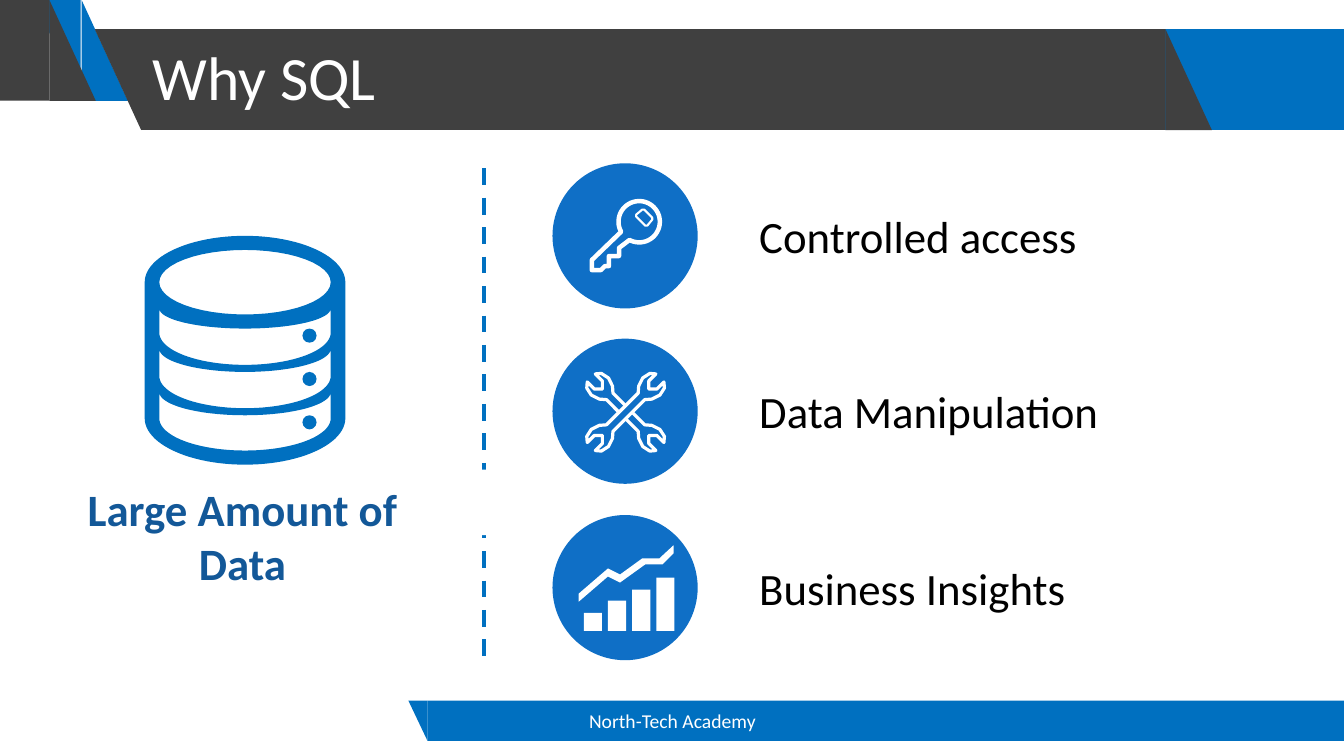
import math
from dataclasses import dataclass

import pptx
import pptx.dml.color
import pptx.enum.dml
import pptx.enum.shapes
import pptx.enum.text
import pptx.oxml.ns
import pptx.shapes.autoshape
import pptx.slide
import pptx.util
from lxml import etree

PX = 9144  # EMU per px, 100 px to the inch
FINE = 100  # freeform units per px
FONT = "Calibri"

RGB = pptx.dml.color.RGBColor
BLUE = RGB(0x00, 0x70, 0xC0)
CIRCLE_BLUE = RGB(0x0F, 0x6F, 0xC6)
CAPTION_BLUE = RGB(0x13, 0x58, 0x98)
CHARCOAL = RGB(0x40, 0x40, 0x40)
WHITE = RGB(0xFF, 0xFF, 0xFF)
BLACK = RGB(0x00, 0x00, 0x00)

SHAPE = pptx.enum.shapes.MSO_SHAPE
ALIGN = pptx.enum.text.PP_ALIGN
ANCHOR = pptx.enum.text.MSO_ANCHOR
Points = list[tuple[float, float]]


@dataclass
class Block:
    kind: SHAPE
    left: int
    top: int
    width: int
    height: int
    color: RGB
    rotation: int = 0


@dataclass
class Label:
    text: str
    left: int
    top: int
    width: int
    height: int
    size: int
    color: RGB
    bold: bool = False
    align: ALIGN = ALIGN.LEFT
    anchor: ANCHOR = ANCHOR.TOP
    inset: int = 10
    grow: bool = True


def px(length: float) -> pptx.util.Emu:
    return pptx.util.Emu(round(length * PX))


def paint(shape: pptx.shapes.autoshape.Shape, color: RGB) -> None:
    shape.shadow.inherit = False
    shape.fill.solid()
    shape.fill.fore_color.rgb = color
    shape.line.fill.background()


def draw_block(slide: pptx.slide.Slide, block: Block) -> None:
    shape = slide.shapes.add_shape(block.kind, px(block.left), px(block.top),
                                   px(block.width), px(block.height))
    shape.rotation = block.rotation
    paint(shape, block.color)


def write(frame: pptx.text.text.TextFrame, text: str, size: int, color: RGB,
          bold: bool, align: ALIGN) -> None:
    paragraph = frame.paragraphs[0]
    paragraph.alignment = align
    run = paragraph.add_run()
    run.text = text
    run.font.name, run.font.size, run.font.bold = FONT, pptx.util.Pt(size), bold
    run.font.color.rgb = color


def draw_label(slide: pptx.slide.Slide, label: Label) -> None:
    frame = slide.shapes.add_textbox(px(label.left), px(label.top), px(label.width),
                                     px(label.height)).text_frame
    frame.word_wrap = True
    frame.vertical_anchor = label.anchor
    frame.margin_left = px(label.inset)
    if label.grow:
        frame.auto_size = pptx.enum.text.MSO_AUTO_SIZE.SHAPE_TO_FIT_TEXT
    write(frame, label.text, label.size, label.color, label.bold, label.align)


def outline(slide: pptx.slide.Slide, contours: list[Points],
            close: bool = True) -> pptx.shapes.autoshape.Shape:
    scaled = [[(x * FINE, y * FINE) for x, y in points] for points in contours]
    builder = slide.shapes.build_freeform(*scaled[0][0], scale=PX / FINE)
    builder.add_line_segments(scaled[0][1:], close=close)
    for points in scaled[1:]:
        builder.move_to(*points[0])
        builder.add_line_segments(points[1:], close=close)
    return builder.convert_to_shape()


def draw_stroke(slide: pptx.slide.Slide, points: Points, weight: float,
                close: bool = True) -> None:
    shape = outline(slide, [points], close)
    shape.shadow.inherit = False
    shape.fill.background()
    shape.line.color.rgb = WHITE
    shape.line.width = pptx.util.Pt(weight)


def arc(cx: float, cy: float, rx: float, ry: float, start: int, end: int) -> Points:
    steps = 48
    angles = [math.radians(start + (end - start) * i / steps) for i in range(steps + 1)]
    return [(cx + rx * math.cos(a), cy + ry * math.sin(a)) for a in angles]


def draw_database(slide: pptx.slide.Slide) -> None:
    cx = 243
    body = arc(cx, 280, 99.5, 46, 180, 360) + arc(cx, 415, 99.5, 46, 0, 180)
    lid = arc(cx, 280, 85, 32, 0, 360)
    # Each disk: top edge, its depth, bottom edge
    disks = [arc(cx, top, 85, depth, 180, 0) + arc(cx, bottom, 85, 32, 0, 180)
             for top, depth, bottom in [(306, 20, 330), (346, 23, 373), (389, 23, 415)]]
    paint(outline(slide, [body, lid, *disks]), BLUE)
    for row in range(3):
        draw_block(slide, Block(SHAPE.OVAL, 300, 326 + 43 * row, 14, 14, BLUE))


def draw_key(slide: pptx.slide.Slide) -> None:
    bow = arc(634, 220, 20.5, 20.5, 118, -209)
    blade = [(587, 258), (587, 268), (596, 268), (600, 264), (604, 264), (604, 254),
             (614, 254), (614, 246)]
    draw_stroke(slide, bow + blade, 3.2)
    draw_stroke(slide, [(637, 208), (639, 208), (647, 216), (647, 218), (642, 224),
                        (640, 224), (631, 215), (631, 213)], 1.5)


def draw_wrenches(slide: pptx.slide.Slide) -> None:
    head = [(12.5, -19), (13, -26), (17, -34), (24, -38.5), (30, -38), (23, -31),
            (23, -23), (31, -23), (38, -30), (38.5, -24), (34, -17), (26, -13), (19, -12.5)]

    def place(points: Points, flip_x: int, flip_y: int) -> Points:
        return [(620.5 + flip_x * x, 409 + flip_y * y) for x, y in points]

    draw_stroke(slide, place(head, 1, 1) + place(head, -1, -1), 2.3)
    half = [(0, -6.5), *head, (6.5, 0)]
    for side in (-1, 1):
        draw_stroke(slide, place(half, side, -side), 2.3, close=False)


def draw_growth(slide: pptx.slide.Slide) -> None:
    for column, height in enumerate([18, 30, 41, 53]):
        draw_block(slide, Block(SHAPE.RECTANGLE, 579 + 24 * column, 626 - height,
                                18, height, WHITE))
    trend = [(654, 554), (637, 554), (615, 570), (603, 564), (574, 589), (574, 597),
             (603, 572), (615, 578), (640, 560), (657, 560), (668, 549), (668, 541)]
    paint(outline(slide, [trend]), WHITE)


def draw_divider(slide: pptx.slide.Slide) -> None:
    divider = slide.shapes.add_connector(pptx.enum.shapes.MSO_CONNECTOR.STRAIGHT,
                                         px(480), px(167), px(480), px(656))
    divider.line.color.rgb = BLUE
    divider.line.width = pptx.util.Pt(3)
    divider.line.dash_style = pptx.enum.dml.MSO_LINE.DASH
    etree.SubElement(divider.element.spPr, pptx.oxml.ns.qn("a:effectLst"))
    # Break in the dashes
    draw_block(slide, Block(SHAPE.RECTANGLE, 478, 466, 21, 65, WHITE))


def main() -> None:
    deck = pptx.Presentation()
    deck.slide_width, deck.slide_height = px(1333), px(750)
    slide = deck.slides.add_slide(deck.slide_layouts.get_by_name("Title Only"))

    # Header and footer bands
    rect, wedge = SHAPE.RECTANGLE, SHAPE.RIGHT_TRIANGLE
    for band in [
        Block(rect, 1068, 29, 265, 100, BLUE),
        Block(wedge, 81, 0, 46, 100, BLUE),
        Block(wedge, 34, 0, 46, 100, BLUE, 180),
        Block(rect, 0, 0, 49, 100, CHARCOAL),
        Block(wedge, 49, 0, 46, 100, CHARCOAL),
        Block(wedge, 94, 29, 46, 100, CHARCOAL, 180),
        Block(rect, 140, 29, 1016, 100, CHARCOAL),
        Block(wedge, 1156, 29, 46, 100, CHARCOAL),
        Block(rect, 424, 695, 909, 40, BLUE),
        Block(wedge, 405, 695, 19, 40, BLUE, 180),
    ]:
        draw_block(slide, band)

    # Title, brought in front of the bands
    title = slide.shapes.title
    title.left, title.top, title.width, title.height = px(141), px(7), px(1014), px(145)
    title.text_frame.vertical_anchor = ANCHOR.MIDDLE
    write(title.text_frame, "Why SQL", 44, WHITE, False, ALIGN.LEFT)
    title.text_frame.paragraphs[0].line_spacing = 0.9
    slide.shapes.element.append(title.element)

    # Data store on the left
    draw_divider(slide)
    draw_database(slide)
    draw_label(slide, Label("Large Amount of Data", 35, 473, 411, 118, 32, CAPTION_BLUE,
                            bold=True, align=ALIGN.CENTER))

    # Reasons on the right
    reasons = [("Controlled access", draw_key), ("Data Manipulation", draw_wrenches),
               ("Business Insights", draw_growth)]
    for row, (reason, draw_icon) in enumerate(reasons):
        top = 162 + round(174.5 * row)
        draw_block(slide, Block(SHAPE.OVAL, 548, top, 144, 144, CIRCLE_BLUE))
        draw_icon(slide)
        draw_label(slide, Label(reason, 693, top + 40, 411, 64, 32, BLACK, inset=60))

    # Footer
    draw_label(slide, Label("North-Tech Academy", 442, 695, 450, 40, 14, WHITE,
                            align=ALIGN.CENTER, anchor=ANCHOR.MIDDLE, grow=False))
    deck.save("out.pptx")


if __name__ == "__main__":
    main()
